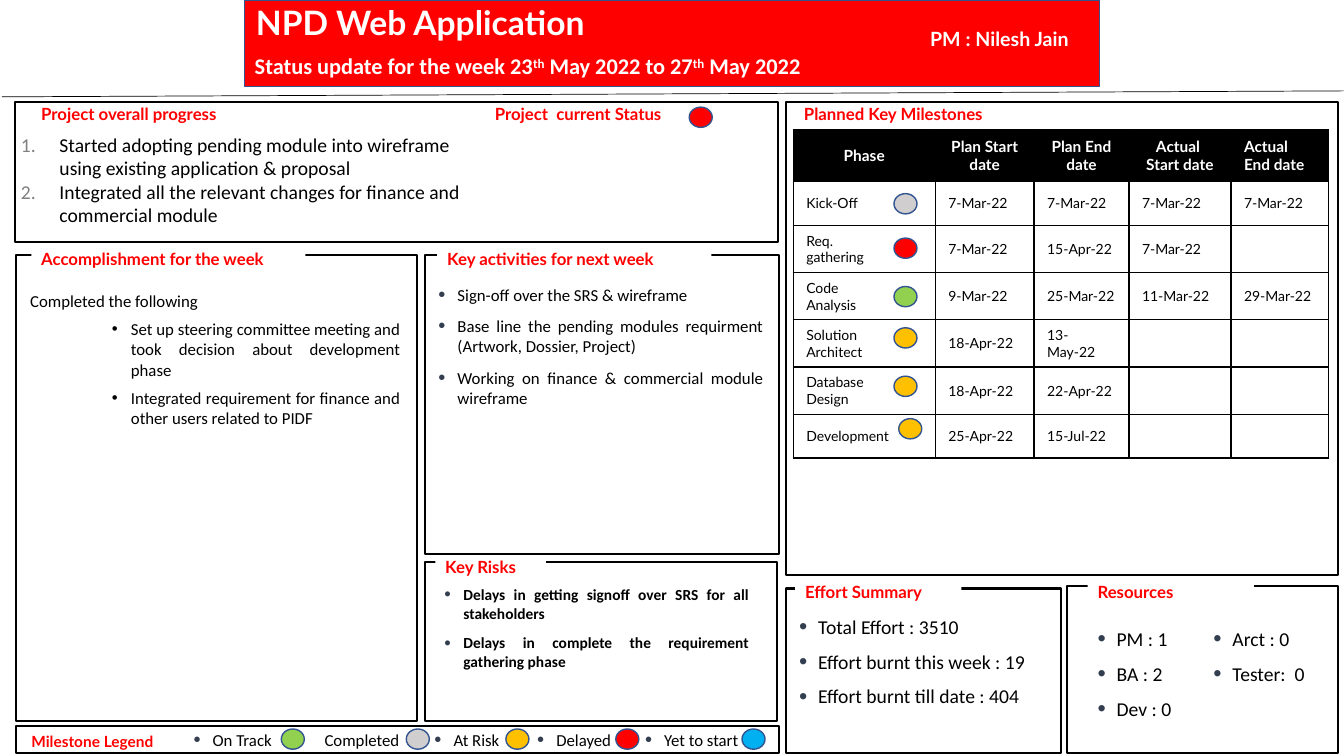
from collections import namedtuple

from lxml import etree
from pptx import Presentation
from pptx.dml.color import RGBColor
from pptx.enum.shapes import MSO_CONNECTOR as Connector, MSO_SHAPE as Preset
from pptx.enum.text import MSO_ANCHOR as Anchor, PP_ALIGN as Align
from pptx.oxml.ns import qn
from pptx.util import Cm, Pt

BLACK = RGBColor(0, 0, 0)
WHITE = RGBColor(255, 255, 255)
RED = RGBColor(255, 0, 0)
NAVY = RGBColor(0x32, 0x54, 0x91)
SLATE = RGBColor(0x33, 0x3F, 0x50)
GRAY = RGBColor(0x80, 0x80, 0x80)
SILVER = RGBColor(0xD0, 0xCE, 0xCE)
GREEN = RGBColor(0x92, 0xD0, 0x50)
AMBER = RGBColor(0xFF, 0xC0, 0)
BLUE = RGBColor(0, 0xB0, 0xF0)

Box = namedtuple("Box", "left top width height")
ACTION = dict(bullet="•", bullet_color=SLATE, bullet_size=120, hanging=0.48,
              align=Align.JUSTIFY, before=6, after=2)
STEP = dict(bullet="•", indent=2.54, hanging=0.48, align=Align.JUSTIFY, before=6)


def inside(box, left, top, width, height):
    """Return a box placed relative to the corner of another."""
    return Box(box.left + left, box.top + top, width, height)


def draw(page, box, preset=Preset.RECTANGLE, fill=WHITE, line=None, weight=1.5):
    """Add a flat preset shape."""
    shape = page.shapes.add_shape(preset, *map(Cm, box))
    shape.shadow.inherit = False
    shape.fill.solid()
    shape.fill.fore_color.rgb = fill
    if line is None:
        shape.line.fill.background()
    else:
        shape.line.color.rgb = line
        shape.line.width = Pt(weight)
    return shape


def add_lamp(page, box, left, top, color):
    """Add a status lamp."""
    draw(page, inside(box, left, top, 0.58, 0.51), Preset.OVAL, color, NAVY, 1)


def set_bullet(para, bullet, color, size):
    """Give a paragraph a bullet, or a number when the bullet is '1.'."""
    props = para._p.get_or_add_pPr()
    if color is not None:
        holder = etree.SubElement(props, qn("a:buClr"))
        etree.SubElement(holder, qn("a:srgbClr"), val=str(color))
    etree.SubElement(props, qn("a:buSzPct"), val=str(size * 1000))
    etree.SubElement(props, qn("a:buFont"), typeface="Calibri" if bullet == "1." else "Arial")
    if bullet == "1.":
        etree.SubElement(props, qn("a:buAutoNum"), type="arabicPeriod")
    else:
        etree.SubElement(props, qn("a:buChar"), char=bullet)


def write(frame, text, size=12, font="Calibri", color=BLACK, bold=False, align=Align.LEFT,
          before=0, after=0, indent=None, hanging=0, bullet=None, bullet_color=None,
          bullet_size=100, more=False):
    """Write one paragraph per line; text between carets is superscript."""
    for number, words in enumerate(text.split("\n")):
        para = frame.add_paragraph() if number or more else frame.paragraphs[0]
        para.alignment = align
        para.space_before, para.space_after = Pt(before), Pt(after)
        if hanging:
            props = para._p.get_or_add_pPr()
            props.set("marL", str(Cm(hanging if indent is None else indent)))
            props.set("indent", str(-Cm(hanging) if bullet else 0))
        if bullet:
            set_bullet(para, bullet, bullet_color, bullet_size)
        for place, piece in enumerate(words.split("^")):
            span = para.add_run()
            span.text = piece
            span.font.size, span.font.name, span.font.bold = Pt(size), font, bold
            span.font.color.rgb = color
            if place % 2:
                span._r.get_or_add_rPr().set("baseline", "30000")


def add_text(page, box, text, **style):
    """Add a wrapped text box and return its frame."""
    frame = page.shapes.add_textbox(*map(Cm, box)).text_frame
    frame.word_wrap = True
    frame.margin_left = frame.margin_right = Cm(0.25)
    frame.margin_top = frame.margin_bottom = 0
    write(frame, text, **style)
    return frame


def add_heading(page, box, text, size=12):
    """Add a red heading on a white strip."""
    draw(page, box)
    add_text(page, box, text, size=size, font="Lato", color=RED, bold=True)


def add_banner(page, box):
    """Draw the title banner and the rule beneath it."""
    draw(page, box, fill=RED, line=NAVY, weight=1)
    white = dict(color=WHITE, bold=True)
    add_text(page, inside(box, 0.03, 0.05, 10.2, 1.02), "NPD Web Application",
             size=24, font="Lato", **white)
    add_text(page, inside(box, 0, 1.32, 15, 0.7),
             "Status update for the week 23^th^ May 2022 to 27^th^ May 2022", size=16, **white)
    add_text(page, inside(box, 17.02, 0.69, 4.27, 0.61), "PM : Nilesh Jain",
             size=14, font="Lato", **white)
    rule = page.shapes.add_connector(Connector.STRAIGHT, Cm(0.05), Cm(2.44), Cm(33.86), Cm(2.29))
    rule.line.color.rgb = BLACK
    rule.line.width = Pt(0.5)
    etree.SubElement(rule._element.spPr, qn("a:effectLst"))


def add_panel(page, box, title, left, top, width):
    """Draw a framed panel with its heading."""
    draw(page, box, line=BLACK)
    add_heading(page, inside(box, left, top, width, 0.51), title)


def add_progress(page, box):
    """Draw the overall progress panel."""
    add_panel(page, box, "Project overall progress", 0.41, 0.05, 6.91)
    add_heading(page, inside(box, 11.84, 0.05, 5.13, 0.51), "Project  current Status")
    add_lamp(page, box, 16.99, 0.13, RED)
    add_text(page, inside(box, -0.1, 0.77, 12.27, 2.6),
             "Started adopting pending module into wireframe using existing application & proposal\n"
             "Integrated all the relevant changes for finance and commercial module",
             size=14, bullet="1.", bullet_color=GRAY, hanging=0.97)


def add_accomplishments(page, box):
    """Draw the panel of work done this week."""
    add_panel(page, box, "Accomplishment for the week", 0.38, -0.15, 6.91)
    frame = add_text(page, inside(box, 0.1, 0.89, 9.83, 4.24), "Completed the following")
    write(frame, "Set up steering committee meeting and took decision about development phase\n"
          "Integrated requirement for finance and other users related to PIDF", more=True, **STEP)


def add_actions(page, box, title, strip, lists, **style):
    """Draw a panel of bullet lists, given as pairs of place and text."""
    add_panel(page, box, title, *strip)
    for place, text in lists:
        add_text(page, inside(box, *place), text, **ACTION, **style)


def fill_cell(cell, text, fill, **style):
    """Fill one table cell and draw its borders."""
    cell.fill.solid()
    cell.fill.fore_color.rgb = fill
    cell.vertical_anchor = Anchor.MIDDLE
    cell.margin_left = cell.margin_right = Cm(0.33)
    cell.margin_top = cell.margin_bottom = Cm(0.17)
    write(cell.text_frame, text, font="Lato", **style)
    props = cell._tc.get_or_add_tcPr()
    for number, side in enumerate("LRTB"):
        border = etree.Element(qn(f"a:ln{side}"), w=str(Pt(1)))
        paint = etree.SubElement(border, qn("a:solidFill"))
        etree.SubElement(paint, qn("a:srgbClr"), val=str(BLACK))
        props.insert(number, border)


def add_milestones(page, box):
    """Draw the milestone table with a lamp for each phase."""
    add_panel(page, box, "Planned Key Milestones", 0.2, 0.05, 6.27)
    header = ["Phase", "Plan Start date", "Plan End date", "Actual \nStart date", "Actual\nEnd date"]
    phases = [
        (["Kick-Off"] + ["7-Mar-22"] * 4, SILVER, 2.72, 2.31),
        (["Req. \ngathering", "7-Mar-22", "15-Apr-22", "7-Mar-22", ""], RED, 2.72, 3.43),
        (["Code \nAnalysis", "9-Mar-22", "25-Mar-22", "11-Mar-22", "29-Mar-22"], GREEN, 2.72, 4.65),
        (["Solution \nArchitect", "18-Apr-22", "13-May-22", "", ""], AMBER, 2.72, 5.69),
        (["Database\nDesign", "18-Apr-22", "22-Apr-22", "", ""], AMBER, 2.72, 6.91),
        (["Development", "25-Apr-22", "15-Jul-22", "", ""], AMBER, 2.84, 7.98)]
    widths = [3.58, 2.49, 2.39, 2.57, 2.46]
    heights = [1.32, 1.1] + [1.19] * 4 + [0.75]
    place = inside(box, 0.18, 0.69, sum(widths), sum(heights))
    table = page.shapes.add_table(len(heights), len(widths), *map(Cm, place)).table
    for column, width in zip(table.columns, widths):
        column.width = Cm(width)
    for row, height in zip(table.rows, heights):
        row.height = Cm(height)
    for number, text in enumerate(header):
        fill_cell(table.cell(0, number), text, BLACK, size=11, color=WHITE, bold=True,
                  align=Align.CENTER if number < 4 else Align.LEFT)
    for row, (texts, color, left, top) in enumerate(phases, 1):
        for number, text in enumerate(texts):
            fill_cell(table.cell(row, number), text, WHITE, size=10)
        add_lamp(page, box, left, top, color)


def add_legend(page, box):
    """Draw the key to the lamp colours."""
    draw(page, box, line=BLACK)
    add_heading(page, inside(box, 0.13, 0.15, 3.91, 0.48), "Milestone Legend", 11)
    for text, left, lamp, color in [
            ("On Track", 4.22, 6.68, GREEN), ("Completed", 7.04, 9.83, SILVER),
            ("At Risk", 10.29, 12.34, AMBER), ("Delayed", 12.88, 15.11, RED),
            ("Yet to start", 15.6, 18.29, BLUE)]:
        style = dict(ACTION, bullet=None) if text == "Completed" else ACTION
        add_text(page, inside(box, left, 0.1, 3.4, 0.51), text, **style)
        add_lamp(page, box, lamp, 0.08, color)


deck = Presentation()
deck.slide_width, deck.slide_height = Cm(33.87), Cm(19.05)
page = deck.slides.add_slide(deck.slide_layouts[6])
add_banner(page, Box(6.17, 0, 21.54, 2.18))
add_progress(page, Box(0.38, 2.57, 19.23, 3.53))
add_accomplishments(page, Box(0.41, 6.43, 10.11, 11.73))
add_actions(page, Box(10.72, 6.43, 8.92, 7.54), "Key activities for next week", (0.3, -0.15, 6.91), [
    ((0.08, 0.74, 8.69, 3.12), "Sign-off over the SRS & wireframe\n"
     "Base line the pending modules requirment (Artwork, Dossier, Project)\n"
     "Working on finance & commercial module wireframe")])
add_actions(page, Box(10.72, 14.17, 8.86, 3.99), "Key Risks", (0.25, -0.13, 2.79), [
    ((0.23, 0.58, 8.18, 2.16), "Delays in getting signoff over SRS for all stakeholders\n"
     "Delays in complete the requirement gathering phase")], size=11, bold=True)
add_milestones(page, Box(19.81, 2.57, 13.92, 11.91))
add_actions(page, Box(19.81, 14.83, 6.93, 4.14), "Effort Summary", (0.23, -0.18, 4.19), [
    ((0.08, 0.66, 6.53, 2.36),
     "Total Effort : 3510\nEffort burnt this week : 19\nEffort burnt till date : 404")], size=14)
add_actions(page, Box(26.9, 14.76, 6.81, 4.22), "Resources", (0.51, -0.1, 4.19), [
    ((0.51, 1.04, 2.92, 2.36), "PM : 1\nBA : 2\nDev : 0"),
    ((3.43, 1.04, 3.05, 1.47), "Arct : 0\nTester:  0")], size=14)
add_legend(page, Box(0.41, 18.29, 19.23, 0.69))
deck.save("out.pptx")
